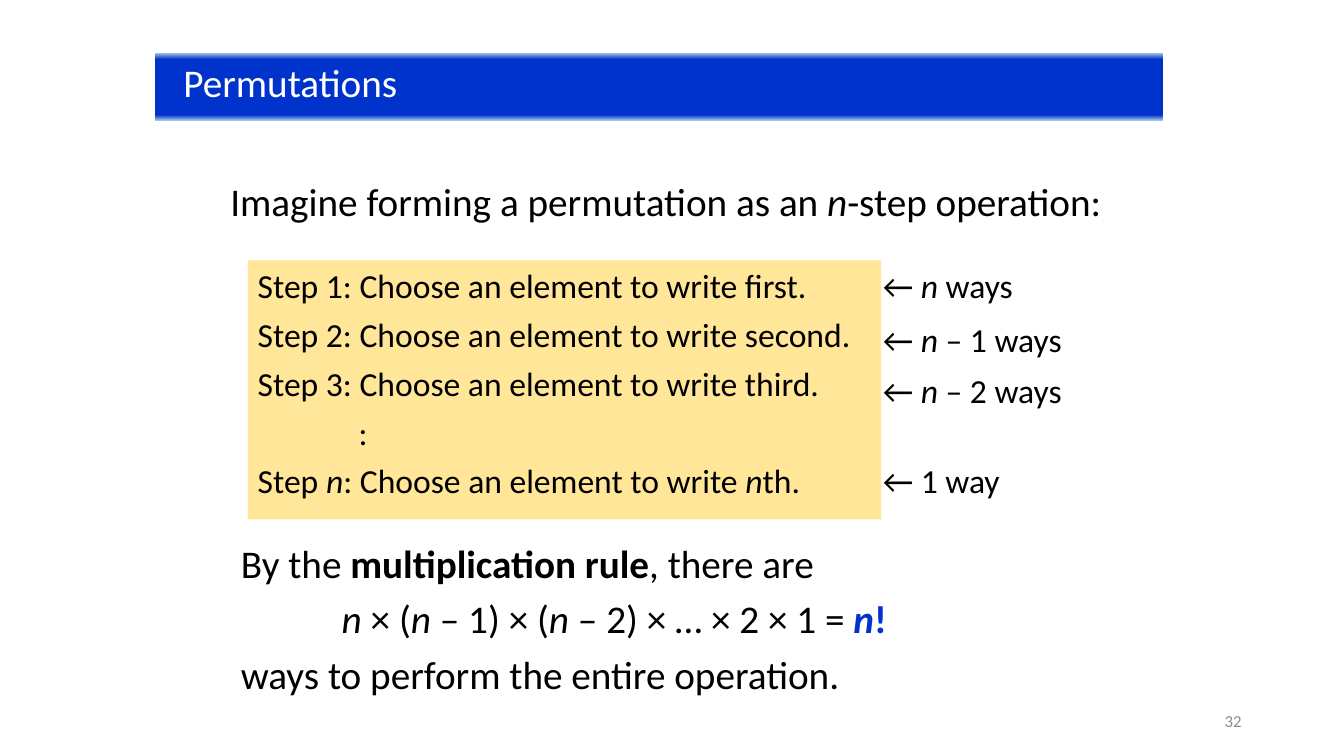
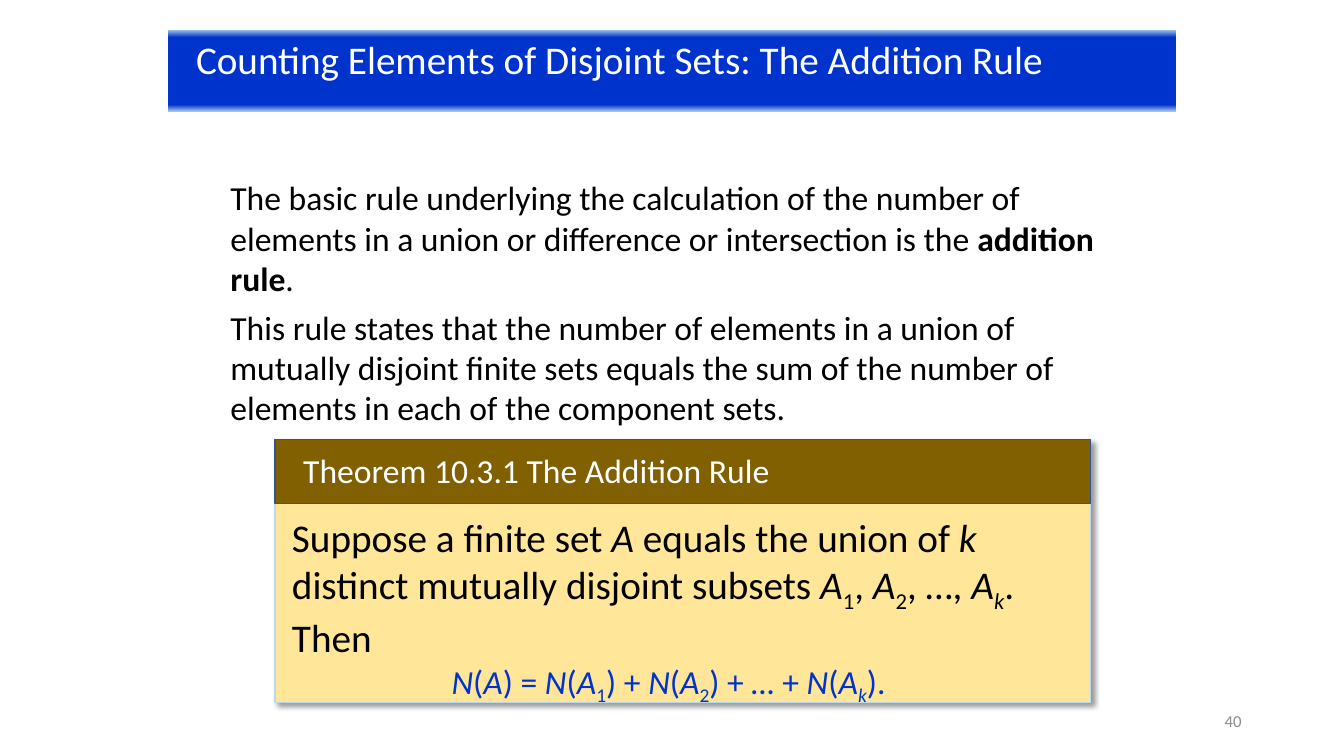
from pptx import Presentation
from pptx.dml.color import RGBColor
from pptx.enum.shapes import MSO_SHAPE
from pptx.enum.text import MSO_ANCHOR, MSO_AUTO_SIZE, PP_ALIGN
from pptx.oxml import parse_xml
from pptx.oxml.ns import nsdecls, qn
from pptx.util import Pt

FONT = "Calibri"
BLACK, WHITE, GRAY = "000000", "FFFFFF", "8C8C8C"
BLUE, PALE_BLUE = "0033CC", "9DC3E6"
CREAM, BROWN = "FFE699", "806000"
BAND_STOPS = [(0, PALE_BLUE), (9, BLUE), (92, BLUE), (100, PALE_BLUE)]


def rgb(color):
    return RGBColor.from_string(color)


def write_text(shape, paragraphs, size, color=BLACK, space_before=0):
    """Each paragraph lists plain strings and (text, style) pairs.
    Styles: i italic, b bold, s subscript, h highlighted in blue."""
    frame = shape.text_frame
    frame.word_wrap = True
    frame.auto_size = MSO_AUTO_SIZE.NONE
    frame.vertical_anchor = MSO_ANCHOR.TOP
    for index, parts in enumerate(paragraphs):
        paragraph = frame.add_paragraph() if index else frame.paragraphs[0]
        paragraph.alignment = PP_ALIGN.LEFT
        paragraph.space_before = Pt(space_before if index else 0)
        paragraph.font.name = FONT
        paragraph.font.size = Pt(size)
        paragraph.font.color.rgb = rgb(color)
        for part in parts:
            text, style = (part, "") if isinstance(part, str) else part
            run = paragraph.add_run()
            run.text = text
            if "i" in style:
                run.font.italic = True
            if "b" in style:
                run.font.bold = True
            if "s" in style:
                run.font._element.set("baseline", "-25000")
            if "h" in style:
                run.font.color.rgb = rgb(BLUE)
    return frame


presentation = Presentation()
presentation.slide_width, presentation.slide_height = Pt(960), Pt(540)

# Title bands and slide numbers
slides = []
for title, number, left, top, height in [
    ("Permutations", "32", 111, 38, 48),
    ("Counting Elements of Disjoint Sets: The Addition Rule", "40", 120, 21.5, 58),
]:
    slide = presentation.slides.add_slide(presentation.slide_layouts[5])
    slides.append(slide)
    band = slide.shapes.title
    band.left, band.top, band.width, band.height = Pt(left), Pt(top), Pt(720), Pt(height)
    band.fill.gradient()
    band.fill.gradient_angle = 270
    stop_list = band._element.spPr.find(qn("a:gradFill")).find(qn("a:gsLst"))
    stops = "".join(
        f'<a:gs pos="{position * 1000}"><a:srgbClr val="{color}"/></a:gs>'
        for position, color in BAND_STOPS
    )
    stop_list.getparent().replace(
        stop_list, parse_xml(f'<a:gsLst {nsdecls("a")}>{stops}</a:gsLst>')
    )
    write_text(band, [[title]], 28, WHITE).margin_left = Pt(20)

    number_box = slide.shapes.add_textbox(Pt(678), Pt(500.5), Pt(216), Pt(29))
    frame = write_text(number_box, [[number]], 12, GRAY)
    frame.vertical_anchor = MSO_ANCHOR.MIDDLE
    frame.paragraphs[0].alignment = PP_ALIGN.RIGHT

permutations, addition_rule = slides
n, N, A, k = [(letter, "i") for letter in "nNAk"]
sub_1, sub_2, sub_k = ("1", "s"), ("2", "s"), ("k", "is")

# Permutations: introduction
introduction = permutations.shapes.add_textbox(Pt(157.5), Pt(123), Pt(648), Pt(58))
write_text(introduction, [["Imagine forming a permutation as an ", n, "-step operation:"]], 28)

# Permutations: steps
steps = permutations.shapes.add_shape(MSO_SHAPE.RECTANGLE, Pt(177), Pt(186), Pt(452.5), Pt(185))
steps.shadow.inherit = False
steps.fill.solid()
steps.fill.fore_color.rgb = rgb(CREAM)
steps.line.fill.background()
frame = write_text(steps, [
    ["Step 1: Choose an element to write first."],
    ["Step 2: Choose an element to write second."],
    ["Step 3: Choose an element to write third."],
    [":"],
    ["Step ", n, ": Choose an element to write ", n, "th."],
], 24, space_before=6)
frame.paragraphs[3]._p.get_or_add_pPr().set("marL", str(Pt(72)))

# Permutations: number of ways for each step
for top, ways in [
    (186, ["← ", n, " ways"]),
    (224, ["← ", n, " – 1 ways"]),
    (261, ["← ", n, " – 2 ways"]),
    (325, ["← 1 way"]),
]:
    ways_box = permutations.shapes.add_textbox(Pt(623.5), Pt(top), Pt(155), Pt(36))
    write_text(ways_box, [ways], 24)

# Permutations: conclusion
conclusion = permutations.shapes.add_textbox(Pt(165), Pt(381.5), Pt(648), Pt(118))
frame = write_text(conclusion, [
    ["By the ", ("multiplication rule", "b"), ", there are"],
    [n, " × (", n, " – 1) × (", n, " – 2) × … × 2 × 1 = ", ("n", "bih"), ("!", "bh")],
    ["ways to perform the entire operation."],
], 28, space_before=6)
frame.paragraphs[1]._p.get_or_add_pPr().set("marL", str(Pt(72)))

# Addition rule: explanation
explanation = addition_rule.shapes.add_textbox(Pt(157.5), Pt(123), Pt(648), Pt(193))
write_text(explanation, [
    ["The basic rule underlying the calculation of the number of elements in a union "
     "or difference or intersection is the ", ("addition rule", "b"), "."],
    ["This rule states that the number of elements in a union of mutually disjoint finite "
     "sets equals the sum of the number of elements in each of the component sets."],
], 24, space_before=6)

# Addition rule: theorem panel and its heading bar
theorem = addition_rule.shapes.add_group_shape()
panels = []
for height, fill, line in [(188, CREAM, "BDD7EE"), (45.5, BROWN, "325491")]:
    panel = theorem.shapes.add_shape(
        MSO_SHAPE.RECTANGLE, Pt(196.5), Pt(314), Pt(582.5), Pt(height))
    panel.shadow.inherit = False
    panel.fill.solid()
    panel.fill.fore_color.rgb = rgb(fill)
    panel.line.color.rgb = rgb(line)
    panel.line.width = Pt(1)
    panels.append(panel)
panels[0]._element.spPr.find(qn("a:effectLst")).append(parse_xml(
    f'<a:outerShdw {nsdecls("a")} blurRad="{Pt(4)}" dist="{Pt(3)}" dir="2700000" '
    f'algn="tl" rotWithShape="0"><a:srgbClr val="{BLACK}"><a:alpha val="40000"/>'
    '</a:srgbClr></a:outerShdw>'))

# Addition rule: theorem text
heading = theorem.shapes.add_textbox(Pt(209.5), Pt(317.5), Pt(557), Pt(36))
write_text(heading, [["Theorem 10.3.1 The Addition Rule"]], 24, WHITE)
statement = theorem.shapes.add_textbox(Pt(201.5), Pt(363), Pt(570), Pt(138))
frame = write_text(statement, [
    ["Suppose a finite set ", A, " equals the union of ", k,
     " distinct mutually disjoint subsets ",
     A, sub_1, ", ", A, sub_2, ", …, ", A, sub_k, ". Then"],
    [N, "(", A, ") = ", N, "(", A, sub_1, ") + ", N, "(", A, sub_2, ") + ",
     ("… ", "i"), "+ ", N, "(", A, sub_k, ")."],
], 28)
formula = frame.paragraphs[1]
formula._p.get_or_add_pPr().set("marL", str(Pt(114)))
formula.font.size = Pt(24)
formula.font.color.rgb = rgb(BLUE)

presentation.save("out.pptx")
